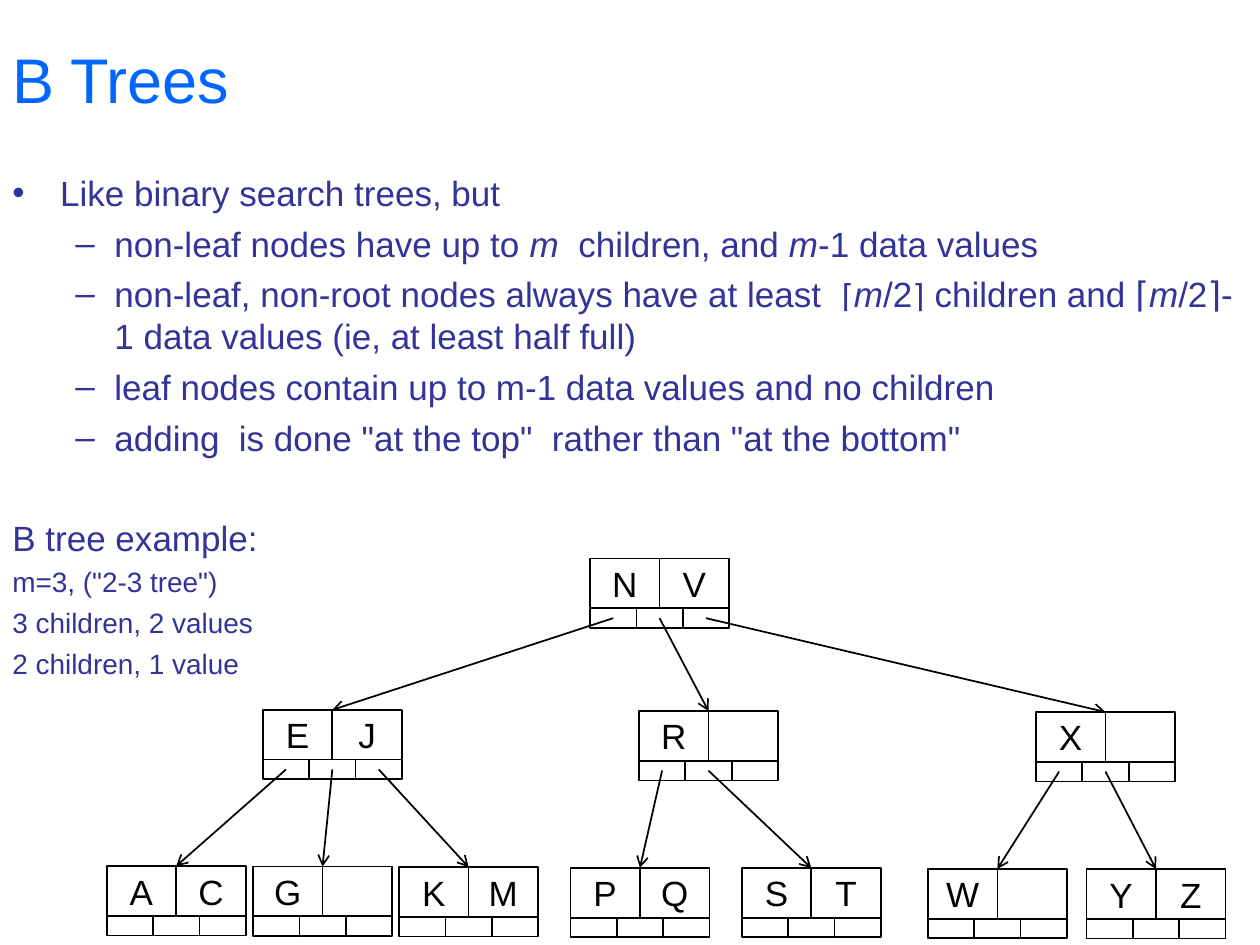
from lxml import etree
from pptx import Presentation, util as u
from pptx.dml.color import RGBColor as Rgb
from pptx.enum import shapes, text
from pptx.oxml import ns

TITLE = "B Trees"

# (kind, space before in points, runs); a run is (text, style)
BODY = [
    ("dot", 0, [("Like binary search trees, but", "base")]),
    ("dash", 5, [("non-leaf nodes have up to ", "base"), ("m", "var"),
                 ("  children, and ", "base"), ("m", "var"),
                 ("-1 data values", "base")]),
    ("dash", 5, [("non-leaf, non-root nodes always have at least  ", "base"),
                 ("⌈", "sign"), ("m", "var"), ("/2", "base"), ("⌉", "sign"),
                 (" children and ⌈", "base"), ("m", "var"),
                 ("/2⌉-1 data values (ie, at least half full)", "base")]),
    ("dash", 5, [("leaf nodes contain up to m-1 data values and no children",
                  "base")]),
    ("dash", 5, [('adding  is done "at the top"  rather than "at the bottom"',
                  "base")]),
    ("plain", 33, [("B tree example:", "base")]),
    ("plain", 4, [('m=3, ("2-3 tree")', "note")]),
    ("plain", 4, [("3 children, 2 values", "note")]),
    ("plain", 4, [("2 children, 1 value", "note")]),
]

# (keys, column, row, children) on a grid 1000 columns wide
TREE = ("NV", 468.3, 443.3, [
    ("EJ", 208.6, 563.4, [
        ("AC", 84.7, 687.4, []),
        ("G", 200.8, 687.8, []),
        ("KM", 316.7, 688.2, [])]),
    ("R", 507.1, 564.3, [
        ("PQ", 452.7, 688.8, []),
        ("ST", 588.7, 688.9, [])]),
    ("X", 822.2, 565.1, [
        ("W", 736.4, 689.6, []),
        ("YZ", 862.3, 689.8, [])]),
])

THEME = {
    "font": "Arial",
    "title": (36, "0066FF", False),
    "base": (20, "333399", False),
    "var": (20, "333399", True),
    "sign": (18, "333399", False),
    "note": (16, "333399", False),
    "key": (20, "000000", False),
    "line": "000000",
    "fill": "FFFFFF",
}
LIST = {"dot": ("•", 0.38, -0.38), "dash": ("–", 0.81, -0.31)}

WIDE, HIGH = u.Inches(10), u.Inches(7.5)
NODE, KEYS, SLOTS = 110.4, 2, 3
KEY_H, SLOT_H = 39.5, 15.6


def grid(n):
    return int(n * WIDE / 1000)


def put(para, words, style):
    size, color, slant = THEME[style]
    run = para.add_run()
    run.text = words
    run.font.name = THEME["font"]
    run.font.size = u.Pt(size)
    run.font.italic = slant
    run.font.color.rgb = Rgb.from_string(color)


def frame(slide, top, high, anchor):
    tf = slide.shapes.add_textbox(0, top, WIDE, high).text_frame
    tf.word_wrap = True
    tf.vertical_anchor = anchor
    return tf


def bullet(para, kind):
    mark, left, hang = LIST[kind]
    ppr = para._p.get_or_add_pPr()
    ppr.set("marL", str(u.Inches(left)))
    ppr.set("indent", str(u.Inches(hang)))
    face = etree.SubElement(ppr, ns.qn("a:buFont"))
    face.set("typeface", THEME["font"])
    etree.SubElement(ppr, ns.qn("a:buChar")).set("char", mark)


def cell(slide, x, y, w, h, word=None):
    """Draw a key box, or an unfilled pointer slot when word is None."""
    box = slide.shapes.add_shape(shapes.MSO_SHAPE.FLOWCHART_PROCESS,
                                 *map(grid, (x, y, w, h)))
    box.shadow.inherit = False
    box.line.color.rgb = Rgb.from_string(THEME["line"])
    box.line.width = u.Pt(1)
    if word is None:
        box.fill.background()
        return
    box.fill.solid()
    box.fill.fore_color.rgb = Rgb.from_string(THEME["fill"])
    if word:
        tf = box.text_frame
        tf.margin_left = tf.margin_right = tf.margin_top = tf.margin_bottom = 0
        tf.vertical_anchor = text.MSO_ANCHOR.MIDDLE
        para = tf.paragraphs[0]
        para.alignment = text.PP_ALIGN.CENTER
        put(para, word, "key")


def arrow(slide, *ends):
    line = slide.shapes.add_connector(shapes.MSO_CONNECTOR.STRAIGHT,
                                      *map(grid, ends))
    line.line.color.rgb = Rgb.from_string(THEME["line"])
    line.line.width = u.Pt(1)
    etree.SubElement(line.line._get_or_add_ln(),
                     ns.qn("a:tailEnd")).set("type", "arrow")
    etree.SubElement(line._element.spPr, ns.qn("a:effectLst"))


def draw(slide, node):
    """Draw a node, its arrows and then its subtrees on top."""
    keys, x, y, kids = node
    key_w, slot_w = NODE / KEYS, NODE / SLOTS
    for i in range(KEYS):
        cell(slide, x + i * key_w, y, key_w, KEY_H, keys[i:i + 1])
    base = y + KEY_H
    for i, kid in enumerate(kids):
        arrow(slide, x + (i + 0.5) * slot_w, base + SLOT_H / 2,
              kid[1] + NODE / 2, kid[2])
    for i in range(SLOTS):
        cell(slide, x + i * slot_w, base, slot_w, SLOT_H)
    for kid in kids:
        draw(slide, kid)


def main():
    deck = Presentation()
    deck.slide_width, deck.slide_height = WIDE, HIGH
    slide = deck.slides.add_slide(deck.slide_layouts[6])

    head = frame(slide, 0, HIGH // 6, text.MSO_ANCHOR.MIDDLE)
    put(head.paragraphs[0], TITLE, "title")

    top = grid(131)
    body = frame(slide, top, HIGH - top, text.MSO_ANCHOR.TOP)
    for i, (kind, gap, runs) in enumerate(BODY):
        para = body.add_paragraph() if i else body.paragraphs[0]
        if kind in LIST:
            bullet(para, kind)
        if gap:
            para.space_before = u.Pt(gap)
        for words, style in runs:
            put(para, words, style)

    draw(slide, TREE)
    deck.save("out.pptx")


if __name__ == "__main__":
    main()
